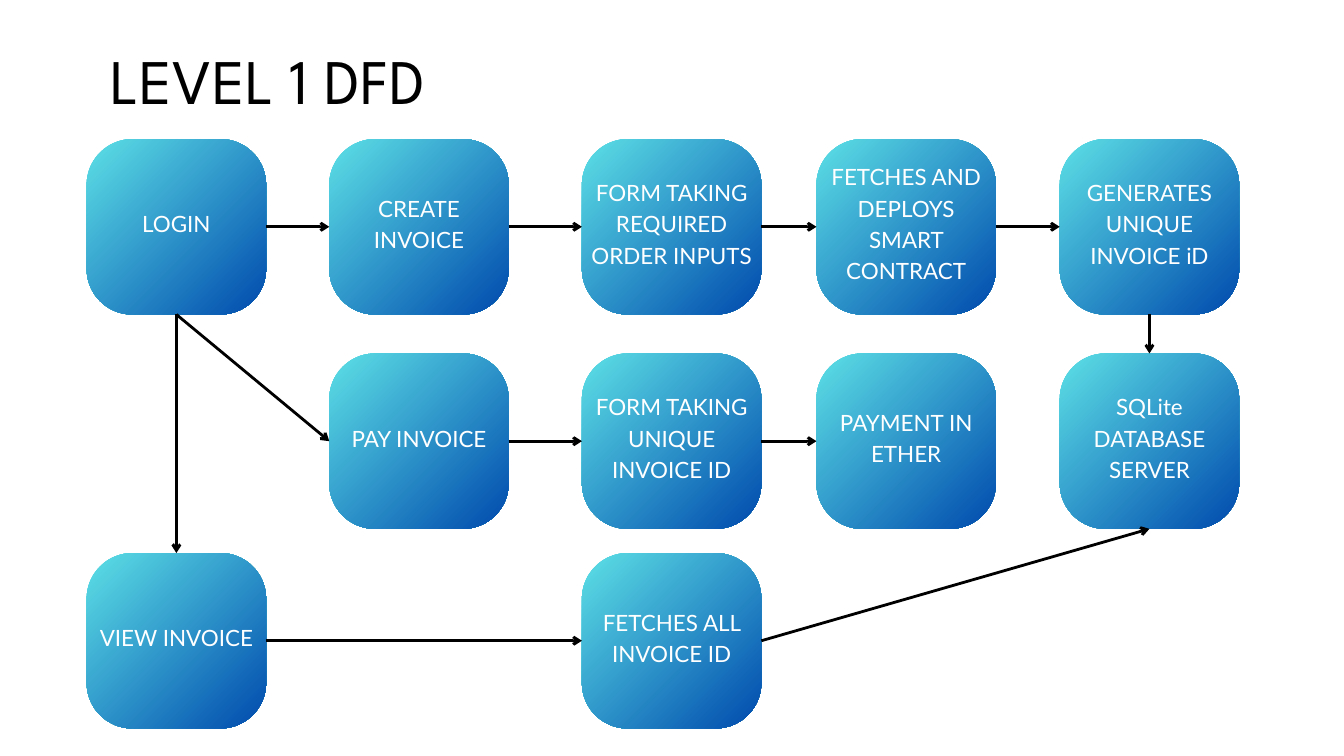
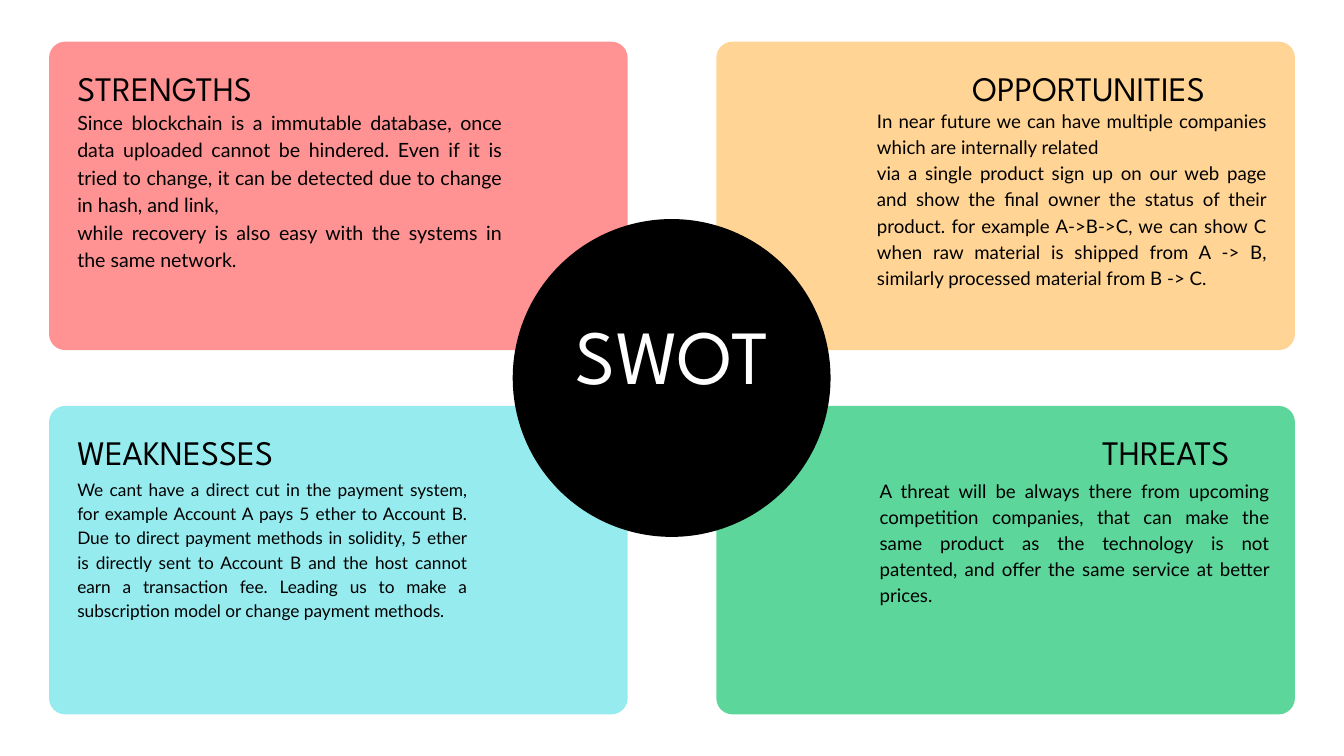
from lxml import etree
from pptx import Presentation
from pptx.dml.color import RGBColor
from pptx.enum.shapes import MSO_CONNECTOR, MSO_SHAPE
from pptx.enum.text import MSO_ANCHOR, PP_ALIGN
from pptx.oxml.ns import qn
from pptx.util import Inches, Pt

ROUND, OVAL = MSO_SHAPE.ROUNDED_RECTANGLE, MSO_SHAPE.OVAL
STRAIGHT = MSO_CONNECTOR.STRAIGHT
TOP, MIDDLE = MSO_ANCHOR.TOP, MSO_ANCHOR.MIDDLE
CENTER, JUSTIFY = PP_ALIGN.CENTER, PP_ALIGN.JUSTIFY

BLACK = RGBColor(0x00, 0x00, 0x00)
WHITE = RGBColor(0xFF, 0xFF, 0xFF)
AQUA = RGBColor(0x5D, 0xE0, 0xE6)
NAVY = RGBColor(0x00, 0x4A, 0xAD)
RED = RGBColor(0xFF, 0x57, 0x57)
CYAN = RGBColor(0x5C, 0xE1, 0xE6)
GREEN = RGBColor(0x00, 0xBF, 0x63)
AMBER = RGBColor(0xFF, 0xBD, 0x59)

HEAD, BODY = "League Spartan", "Lato"
LEADING = 1.4  # line pitch as a multiple of the text size

# Flow chart grid: left edges, top edges, node size
COLS = (1.29, 4.9, 8.66, 12.15, 15.77)
ROWS = (2.07, 5.26, 8.23)
NODE_W, NODE_H = 2.67, 2.61
LIFT = 0.15  # text frames start this far above their shape

# Connection sites
UP, LEFT, DOWN, RIGHT = range(4)

# name: (column, row, lines)
NODES = {
    "login": (0, 0, ["LOGIN"]),
    "create": (1, 0, ["CREATE", "INVOICE"]),
    "order": (2, 0, ["FORM TAKING REQUIRED ORDER INPUTS"]),
    "deploy": (3, 0, ["FETCHES AND DEPLOYS SMART CONTRACT"]),
    "number": (4, 0, ["GENERATES UNIQUE INVOICE iD"]),
    "pay": (1, 1, ["PAY INVOICE"]),
    "unique": (2, 1, ["FORM TAKING UNIQUE INVOICE ID"]),
    "ether": (3, 1, ["PAYMENT IN ETHER"]),
    "server": (4, 1, ["SQLite DATABASE", "SERVER"]),
    "view": (0, 2, ["VIEW INVOICE"]),
    "fetch": (2, 2, ["FETCHES ALL INVOICE ID"]),
}

# (from, site, to, site)
FLOWS = (
    ("login", RIGHT, "create", LEFT),
    ("create", RIGHT, "order", LEFT),
    ("order", RIGHT, "deploy", LEFT),
    ("deploy", RIGHT, "number", LEFT),
    ("number", DOWN, "server", UP),
    ("login", DOWN, "pay", LEFT),
    ("pay", RIGHT, "unique", LEFT),
    ("unique", RIGHT, "ether", LEFT),
    ("login", DOWN, "view", UP),
    ("view", RIGHT, "fetch", LEFT),
    ("fetch", RIGHT, "server", DOWN),
)

# SWOT panels
PANEL_W, PANEL_H = 8.61, 4.59
WEST, EAST, NORTH, SOUTH = 0.73, 10.66, 0.62, 6.04

# (left, top, colour, heading, heading offset and width,
#  body offset x, y and width, body size, paragraphs)
PANELS = (
    (WEST, NORTH, RED, "STRENGTHS", (0.42, 3.26), (0.42, 0.97, 6.32), 21, [
        "Since blockchain is a immutable database, once data uploaded cannot "
        "be hindered. Even if it is tried to change, it can be detected due "
        "to change in hash, and link,",
        "while recovery is also easy with the systems in the same network."]),
    (WEST, SOUTH, CYAN, "WEAKNESSES", (0.42, 3.96), (0.42, 1.04, 5.8), 18.5, [
        "We cant have a direct cut in the payment system, for example Account "
        "A pays 5 ether to Account B. Due to direct payment methods in "
        "solidity, 5 ether is directly sent to Account B and the host cannot "
        "earn a transaction fee. Leading us to make a subscription model or "
        "change payment methods."]),
    (EAST, SOUTH, GREEN, "THREATS", (5.74, 2.5), (2.43, 1.04, 5.8), 20, [
        "A threat will be always there from upcoming competition companies, "
        "that can make the same product as the technology is not patented, "
        "and offer the same service at better prices."]),
    (EAST, NORTH, AMBER, "OPPORTUNITIES", (3.81, 4.43), (2.39, 0.96, 5.8), 20, [
        "In near future we can have multiple companies which are internally "
        "related",
        "via a single product sign up on our web page and show the final "
        "owner the status of their product. for example A->B->C, we can show "
        "C when raw material is shipped from A -> B, similarly processed "
        "material from B -> C."]),
)


def add_text(slide, box, lines, size, font, color=BLACK, align=JUSTIFY,
             anchor=TOP, inset=0):
    frame = slide.shapes.add_textbox(*map(Inches, box)).text_frame
    frame.word_wrap = True
    frame.vertical_anchor = anchor
    frame.margin_left = frame.margin_right = Inches(inset)
    frame.margin_top = frame.margin_bottom = Inches(inset)
    frame.text = "\n".join(lines)
    for para in frame.paragraphs:
        para.alignment = align
        para.line_spacing = Pt(round(size * LEADING, 1))
        para.font.size = Pt(size)
        para.font.name = font
        para.font.color.rgb = color


def add_block(slide, kind, box, color=None, corner=None):
    """Add a plain shape; corner is the radius in inches."""
    shape = slide.shapes.add_shape(kind, *map(Inches, box))
    shape.shadow.inherit = False
    shape.line.fill.background()
    if corner:
        shape.adjustments[0] = corner / min(box[2:])
    if color is not None:
        shape.fill.solid()
        shape.fill.fore_color.rgb = color
    return shape


def add_node(slide, left, top, lines):
    node = add_block(slide, ROUND, (left, top, NODE_W, NODE_H), corner=0.68)
    node.fill.gradient()
    node.fill.gradient_angle = 315
    for stop, color in zip(node.fill.gradient_stops, (AQUA, NAVY)):
        stop.color.rgb = color
    add_text(slide, (left, top - LIFT, NODE_W, NODE_H + LIFT), lines, 24,
             BODY, WHITE, CENTER, MIDDLE, 0.06)
    return node


def add_arrow(slide, start, begin, end, finish):
    link = slide.shapes.add_connector(STRAIGHT, 0, 0, 0, 0)
    link.begin_connect(start, begin)
    link.end_connect(end, finish)
    link.line.color.rgb = BLACK
    link.line.width = Pt(3)
    tip = etree.SubElement(link.line._get_or_add_ln(), qn("a:tailEnd"))
    tip.set("type", "arrow")
    etree.SubElement(link._element.spPr, qn("a:effectLst"))


def add_panel(slide, left, top, color, head, head_at, body_at, size, lines):
    panel = add_block(slide, ROUND, (left, top, PANEL_W, PANEL_H), color, 0.24)
    tint = panel._element.spPr.find(".//" + qn("a:srgbClr"))
    etree.SubElement(tint, qn("a:alpha")).set("val", "64000")
    shift, wide = head_at
    add_text(slide, (left + shift, top + 0.27, wide, 0.68), [head], 36.8, HEAD)
    shift, drop, wide = body_at
    add_text(slide, (left + shift, top + drop, wide, PANEL_H - drop - 0.2),
             lines, size, BODY)


def add_hub(slide, left, top, size):
    add_block(slide, OVAL, (left, top, size, size), BLACK)
    add_text(slide, (left + 0.45, top - 0.5, size - 0.88, size + 0.06),
             ["SWOT"], 82, HEAD, WHITE, CENTER, MIDDLE, 0.06)


def flow_slide(slide):
    add_text(slide, (1.12, 0.42, 5.74, 1.27), ["LEVEL 1 DFD"], 68, HEAD,
             align=CENTER)
    nodes = {name: add_node(slide, COLS[col], ROWS[row], lines)
             for name, (col, row, lines) in NODES.items()}
    for start, begin, end, finish in FLOWS:
        add_arrow(slide, nodes[start], begin, nodes[end], finish)


def swot_slide(slide):
    for panel in PANELS:
        add_panel(slide, *panel)
    add_hub(slide, 7.63, 3.26, 4.73)


def main():
    deck = Presentation()
    deck.slide_width, deck.slide_height = Inches(20), Inches(11.25)
    for build in (flow_slide, swot_slide):
        build(deck.slides.add_slide(deck.slide_layouts[6]))
    deck.save("out.pptx")


if __name__ == "__main__":
    main()
